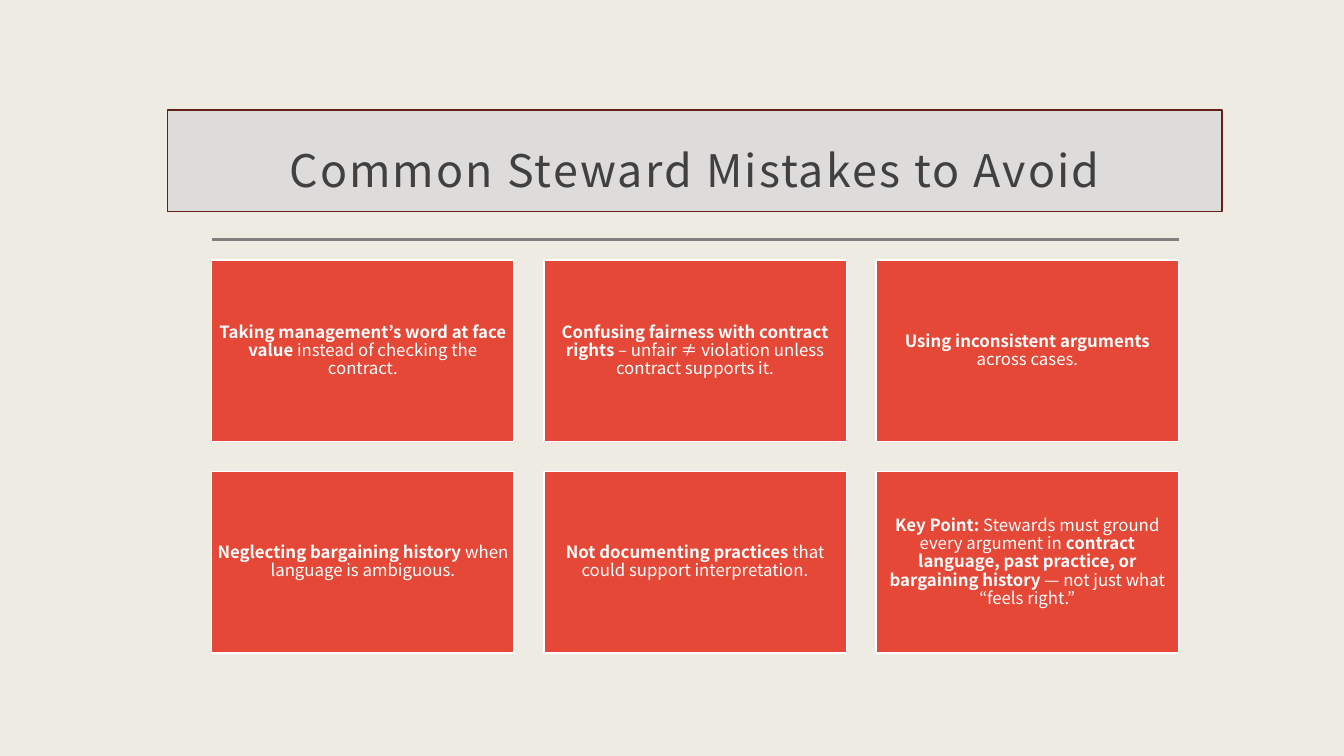
from dataclasses import dataclass

from pptx import Presentation
from pptx.dml.color import RGBColor as RGB
from pptx.enum.shapes import MSO_CONNECTOR as Connector, MSO_SHAPE as Shape
from pptx.enum.text import MSO_ANCHOR as Anchor, MSO_AUTO_SIZE as AutoSize, PP_ALIGN as Align
from pptx.oxml.ns import qn
from pptx.util import Inches, Pt


@dataclass(frozen=True)
class Theme:
    font: str = "Noto Sans CJK JP"
    background: str = "EEEBE2"
    panel: str = "DEDBDB"
    panel_line: str = "642018"
    rule: str = "808080"
    title: str = "404040"
    card: str = "E54837"
    white: str = "FFFFFF"
    title_size: float = 32
    card_size: float = 12


# Each card is a list of runs that alternate bold, regular, bold, ...
CARDS = [
    ["Taking management’s word at face value", " instead of checking the contract."],
    ["Confusing fairness with contract rights",
     " – unfair ≠ violation unless contract supports it."],
    ["Using inconsistent arguments", " across cases."],
    ["Neglecting bargaining history", " when language is ambiguous."],
    ["Not documenting practices", " that could support interpretation."],
    ["Key Point:", " Stewards must ground every argument in ",
     "contract language, past practice, or bargaining history",
     " — not just what “feels right.”"],
]
LEFT, RIGHT, CARDS_TOP = 2.1, 11.69, 2.58
CARD_W, CARD_H, COLUMNS = 3, 1.8, 3
GAP = (RIGHT - LEFT - COLUMNS * CARD_W) / (COLUMNS - 1)


def add_run(p, text, *, font, size, color, bold=False, spacing=None):
    r = p.add_run()
    r.text = text
    r.font.name, r.font.size, r.font.bold = font, Pt(size), bold
    r.font.color.rgb = RGB.from_string(color)
    if spacing is not None:
        r.font._element.set("spc", str(round(spacing * 100)))


class SlideBuilder:
    def __init__(self, prs, theme):
        self.theme = theme
        self.s = prs.slides.add_slide(prs.slide_layouts[5])
        fill = self.s.background.fill
        fill.solid()
        fill.fore_color.rgb = RGB.from_string(theme.background)

    def frame(self, sp, insets, line_spacing):
        """Set up a centred, wrapped text frame and return its first paragraph."""
        tf = sp.text_frame
        tf.word_wrap, tf.auto_size = True, AutoSize.NONE
        tf.vertical_anchor = Anchor.MIDDLE
        (tf.margin_left, tf.margin_top,
         tf.margin_right, tf.margin_bottom) = map(Inches, insets)
        p = tf.paragraphs[0]
        p.alignment, p.line_spacing = Align.CENTER, line_spacing
        return p

    def rule(self, left, right, y):
        line = self.s.shapes.add_connector(
            Connector.STRAIGHT, Inches(left), Inches(y), Inches(right), Inches(y))
        line.line.color.rgb = RGB.from_string(self.theme.rule)
        line.line.width = Pt(2)
        sp_pr = line._element.spPr
        sp_pr.append(sp_pr.makeelement(qn("a:effectLst"), {}))

    def box(self, left, top, width, height, fill, line):
        sp = self.s.shapes.add_shape(
            Shape.RECTANGLE, Inches(left), Inches(top), Inches(width), Inches(height))
        sp.shadow.inherit = False
        sp.fill.solid()
        sp.fill.fore_color.rgb = RGB.from_string(fill)
        sp.line.color.rgb = RGB.from_string(line)
        sp.line.width = Pt(1)
        return sp

    def title(self, text, left, top, width, height):
        """Place the title placeholder in front of everything drawn so far."""
        t = self.theme
        sp = self.s.shapes.title
        sp.left, sp.top, sp.width, sp.height = map(Inches, (left, top, width, height))
        p = self.frame(sp, (0.12, 0.12, 0.12, 0.1), 1.3)
        add_run(p, text, font=t.font, size=t.title_size, color=t.title, spacing=1.5)
        self.s.shapes._spTree.append(sp._element)

    def card(self, runs, left, top):
        t = self.theme
        sp = self.box(left, top, CARD_W, CARD_H, t.card, t.white)
        p = self.frame(sp, [0.05] * 4, 0.9)
        for i, text in enumerate(runs):
            add_run(p, text, font=t.font, size=t.card_size, color=t.white, bold=i % 2 == 0)


def main():
    prs = Presentation()
    prs.slide_width, prs.slide_height = Inches(13.33), Inches(7.5)
    theme = Theme()
    slide = SlideBuilder(prs, theme)
    slide.rule(LEFT, RIGHT, 2.38)
    slide.box(1.66, 1.09, 10.46, 1.01, theme.panel, theme.panel_line)
    slide.title("Common Steward Mistakes to Avoid", LEFT, 0.86, RIGHT - LEFT, 1.47)
    for i, runs in enumerate(CARDS):
        row, col = divmod(i, COLUMNS)
        slide.card(runs, LEFT + col * (CARD_W + GAP), CARDS_TOP + row * (CARD_H + 0.3))
    prs.save("out.pptx")


if __name__ == "__main__":
    main()
